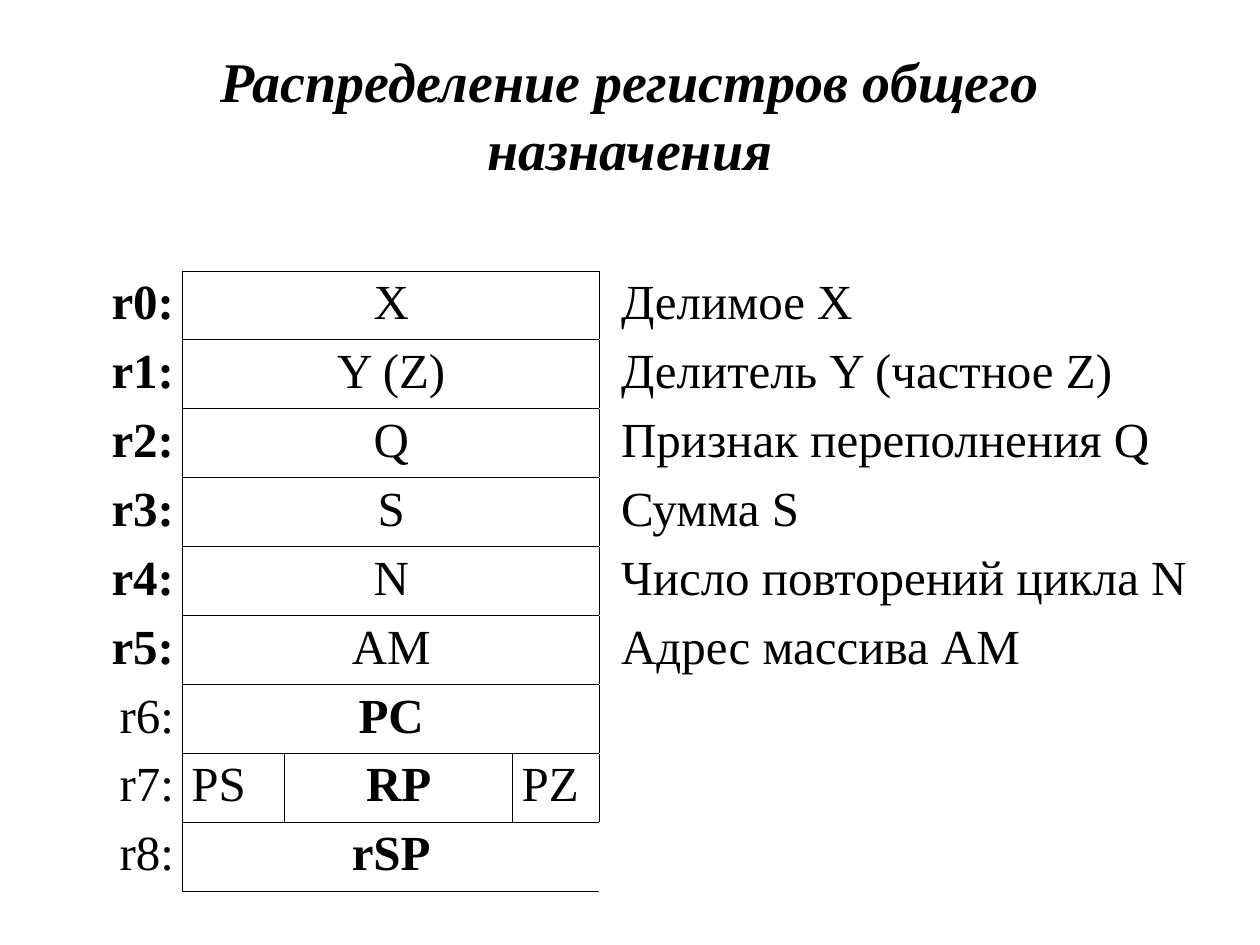
"""Slide showing how the general-purpose registers are allocated."""
from lxml import etree
from pptx import Presentation
from pptx.dml.color import RGBColor
from pptx.enum.text import MSO_ANCHOR, PP_ALIGN
from pptx.oxml.ns import qn
from pptx.util import Inches, Pt

LEFT, CENTER, RIGHT = PP_ALIGN.LEFT, PP_ALIGN.CENTER, PP_ALIGN.RIGHT
JUSTIFY, MIDDLE = PP_ALIGN.JUSTIFY, MSO_ANCHOR.MIDDLE

TITLE = "Распределение регистров общего назначения"
REGISTERS = [
    ("r0:", ["X"], "Делимое X"),
    ("r1:", ["Y (Z)"], "Делитель Y (частное Z)"),
    ("r2:", ["Q"], "Признак переполнения Q"),
    ("r3:", ["S"], "Сумма S"),
    ("r4:", ["N"], "Число повторений цикла N"),
    ("r5:", ["AM"], "Адрес массива AM"),
    ("r6:", ["PC"], ""),
    ("r7:", ["PS", "RP", "PZ"], ""),
    ("r8:", ["rSP"], ""),
]
SYSTEM = {"PC", "RP", "rSP"}
THEME = {
    "font": "Times New Roman", "title": 32, "body": 28,
    "ink": "000000", "paper": "FFFFFF", "line": 0.45,
}
COLS = [0.71, 0.81, 1.81, 0.69, 4.88]
ROW_H = 0.53
FIELDS = range(1, 4)
PAD_X, PAD_Y, NOTE_PAD = 0.07, 0.04, 0.17


def write(tf, text, size, align, bold=False, italic=False):
    tf.text = text
    p = tf.paragraphs[0]
    p.alignment = align
    for r in p.runs:
        font = r.font
        font.name, font.size = THEME["font"], Pt(size)
        font.bold, font.italic = bold, italic
        font.color.rgb = RGBColor.from_string(THEME["ink"])


def boxed(row, col):
    return row >= 1 and col in FIELDS


def set_borders(cell, row, col):
    neighbours = {"L": (row, col - 1), "R": (row, col + 1),
                  "T": (row - 1, col), "B": (row + 1, col)}
    tc_pr = cell._tc.get_or_add_tcPr()
    for i, (side, other) in enumerate(neighbours.items()):
        dark = boxed(row, col) or boxed(*other) and row < len(REGISTERS)
        ln = etree.Element(qn(f"a:ln{side}"), w=str(int(Pt(THEME["line"]))))
        fill = etree.SubElement(ln, qn("a:solidFill"))
        etree.SubElement(fill, qn("a:srgbClr"),
                         val=THEME["ink" if dark else "paper"])
        tc_pr.insert(i, ln)


def add_title(s):
    tf = s.shapes.add_textbox(Inches(0.75), Inches(0.28),
                              Inches(8.5), Inches(1.25)).text_frame
    tf.word_wrap, tf.vertical_anchor = True, MIDDLE
    write(tf, TITLE, THEME["title"], CENTER, bold=True, italic=True)


def add_registers(s):
    n_rows = len(REGISTERS) + 1
    frame = s.shapes.add_table(n_rows, len(COLS), Inches(0.74), Inches(1.62),
                               Inches(sum(COLS)), Inches(ROW_H * n_rows))
    table = frame.table
    table.first_row = table.horz_banding = False
    for column, width in zip(table.columns, COLS):
        column.width = Inches(width)
    for row in range(n_rows):
        table.rows[row].height = Inches(ROW_H)
        for col in range(len(COLS)):
            cell = table.cell(row, col)
            cell.fill.background()
            cell.margin_left = cell.margin_right = Inches(PAD_X)
            cell.margin_top = cell.margin_bottom = Inches(PAD_Y)
            set_borders(cell, row, col)
    table.cell(0, FIELDS[0]).merge(table.cell(0, FIELDS[-1]))

    size = THEME["body"]
    for row, (name, fields, note) in enumerate(REGISTERS, 1):
        write(table.cell(row, 0).text_frame, name, size, RIGHT, bold=bool(note))
        if len(fields) == 1:
            table.cell(row, FIELDS[0]).merge(table.cell(row, FIELDS[-1]))
        for col, field in zip(FIELDS, fields):
            align = CENTER if len(fields) == 1 or field in SYSTEM else JUSTIFY
            write(table.cell(row, col).text_frame, field, size, align,
                  bold=field in SYSTEM)
        if note:
            cell = table.cell(row, len(COLS) - 1)
            cell.margin_left = Inches(NOTE_PAD)
            write(cell.text_frame, note, size, LEFT)


def main():
    prs = Presentation()
    prs.slide_width, prs.slide_height = Inches(10), Inches(7.5)
    s = prs.slides.add_slide(prs.slide_layouts[6])
    add_title(s)
    add_registers(s)
    prs.save("out.pptx")


if __name__ == "__main__":
    main()
